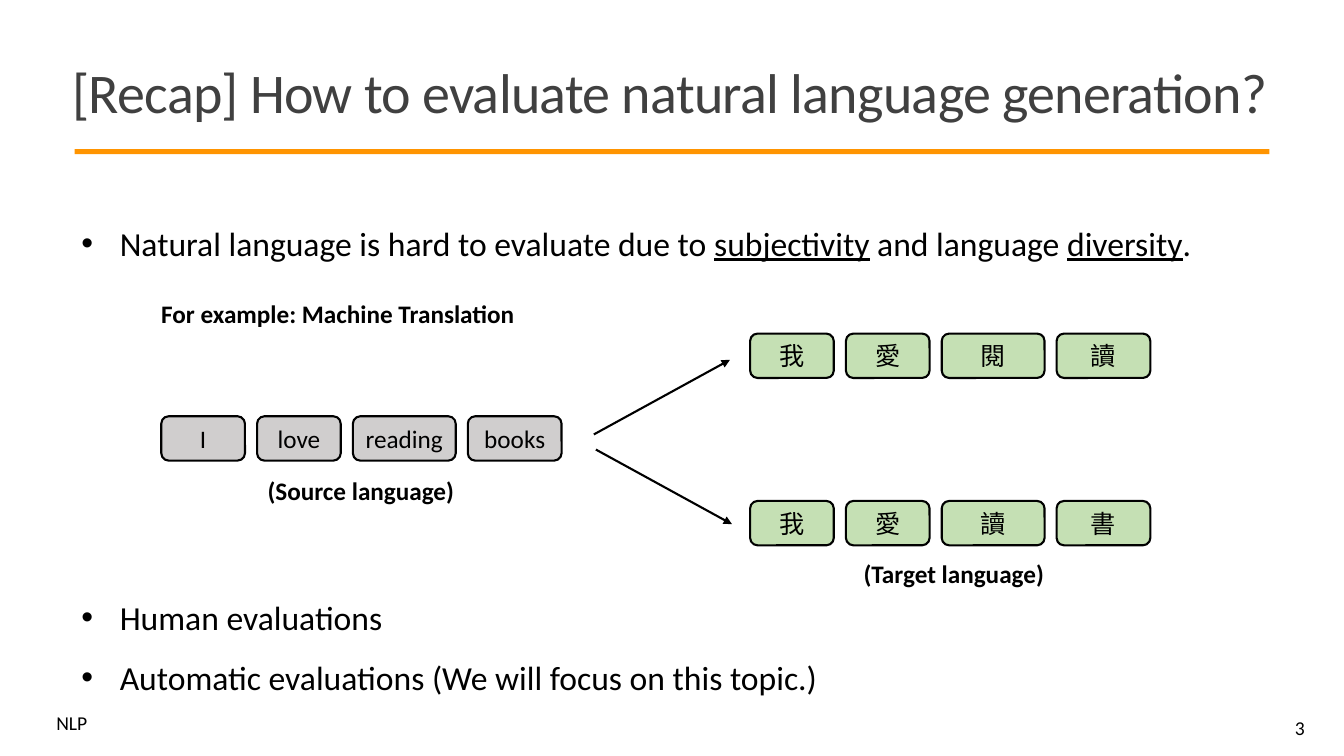
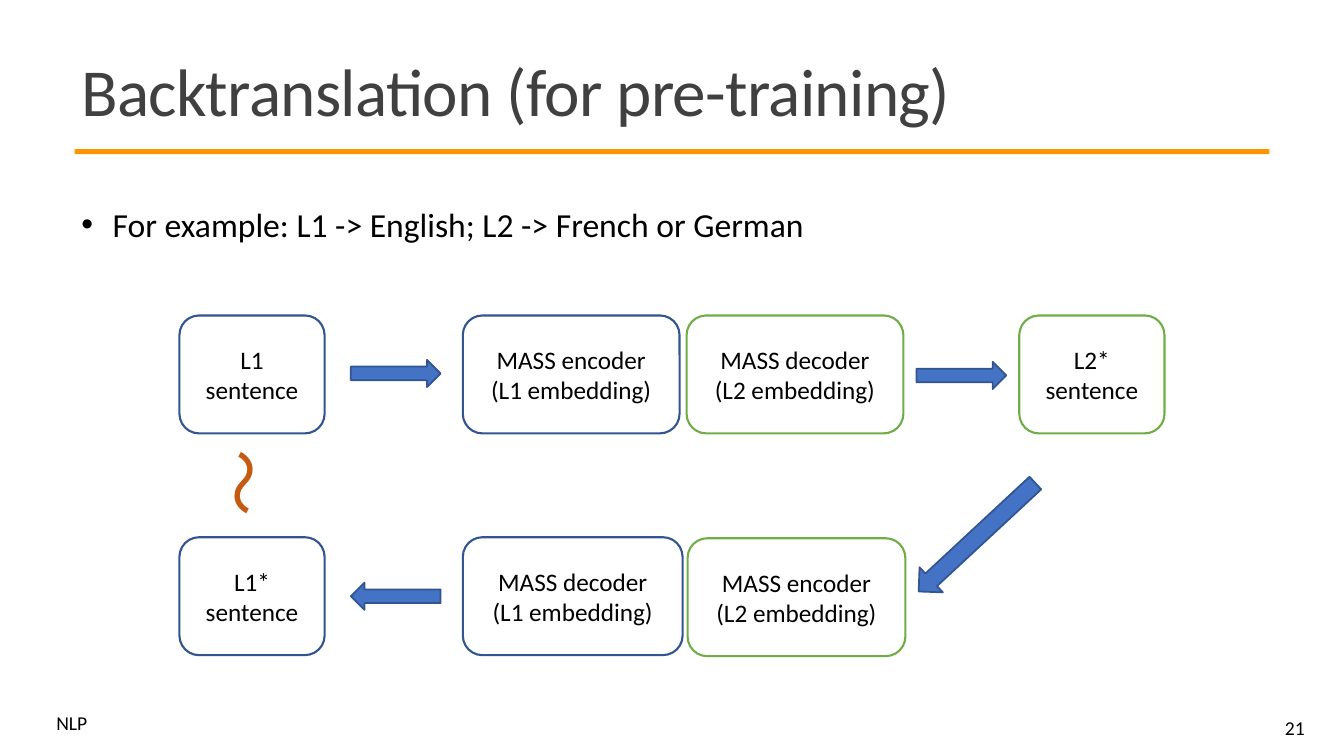
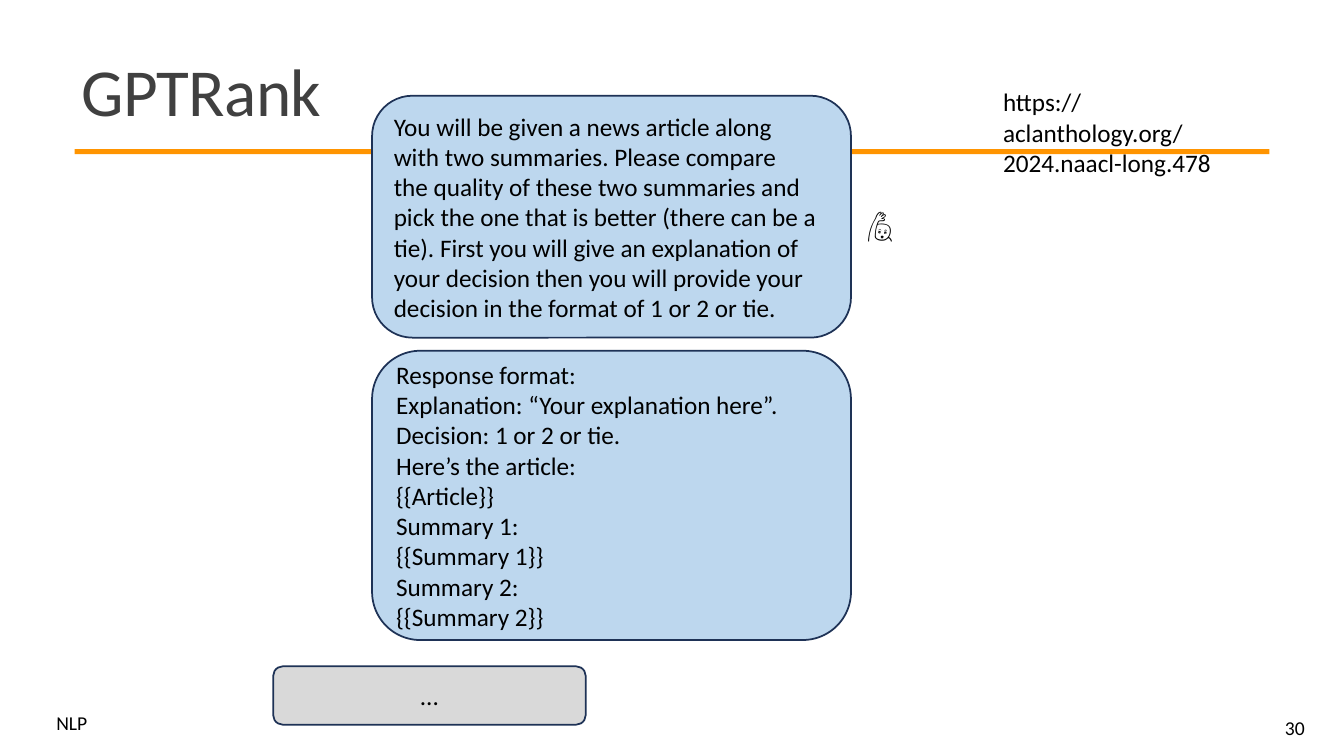
from lxml import etree
from pptx import Presentation
from pptx.dml.color import RGBColor
from pptx.enum.shapes import MSO_CONNECTOR, MSO_SHAPE
from pptx.enum.text import MSO_ANCHOR, PP_ALIGN
from pptx.oxml.ns import qn
from pptx.util import Inches, Pt

ROUND, RECT, ARROW = MSO_SHAPE.ROUNDED_RECTANGLE, MSO_SHAPE.RECTANGLE, MSO_SHAPE.RIGHT_ARROW
STRAIGHT = MSO_CONNECTOR.STRAIGHT
TOP, MID = MSO_ANCHOR.TOP, MSO_ANCHOR.MIDDLE
LEFT, MIDDLE, RIGHT = PP_ALIGN.LEFT, PP_ALIGN.CENTER, PP_ALIGN.RIGHT

FONT, HAN = "Calibri", "Noto Sans CJK TC"
BLACK, INK, ORANGE, RUST = "000000", "404040", "FF9400", "C55A11"
GRAY, LEAF, SKY, SILVER = "D0CECE", "C5E0B4", "BDD7EE", "D9D9D9"
BLUE, NAVY, GREEN, DARK = "4472C4", "325491", "70AD47", "1E3256"

CLAIM = [[("Natural language is hard to evaluate due to ", False),
          ("subjectivity", True), (" and language ", False),
          ("diversity", True), (".", False)]]
KINDS = ["Human evaluations", "Automatic evaluations (We will focus on this topic.)"]
WIDTHS, GAP = [0.83, 0.83, 1.02, 0.93], 0.12
ROWS = [
    (1.6, 4.13, GRAY, FONT, ["I", "love", "reading", "books"]),
    (7.44, 3.31, LEAF, HAN, ["我", "愛", "閱", "讀"]),
    (7.44, 4.97, LEAF, HAN, ["我", "愛", "讀", "書"]),
]
FORKS = [(5.89, 4.31, 7.24, 3.57), (5.91, 4.46, 7.26, 5.2)]
LABELS = [
    ("For example: Machine Translation", 1.5, 2.91, 3.79, LEFT),
    ("(Source language)", 2.51, 4.67, 2.14, MIDDLE),
    ("(Target language)", 8.39, 5.49, 2.14, MIDDLE),
]

PAIR = ["For example: L1 -> English; L2 -> French or German"]
STEPS = [
    (["L1 sentence"], 1.78, 3.13, 1.44, NAVY),
    (["MASS encoder", "(L1 embedding)"], 4.59, 3.13, 2.15, NAVY),
    (["MASS decoder", "(L2 embedding)"], 6.81, 3.13, 2.15, GREEN),
    (["L2* sentence"], 10.11, 3.13, 1.44, GREEN),
    (["MASS encoder", "(L2 embedding)"], 6.82, 5.34, 2.16, GREEN),
    (["MASS decoder", "(L1 embedding)"], 4.59, 5.33, 2.18, NAVY),
    (["L1* sentence"], 1.78, 5.33, 1.44, NAVY),
]
ARROWS = [
    (3.48, 3.57, 0.89, 0.27, 0),
    (9.09, 3.59, 0.89, 0.27, 0),
    (8.9, 5.16, 1.58, 0.34, 137.1),
    (3.48, 5.78, 0.89, 0.27, 180),
]

PROMPT = [
    "You will be given a news article along",
    "with two summaries. Please compare",
    "the quality of these two summaries and",
    "pick the one that is better (there can be a",
    "tie). First you will give an explanation of",
    "your decision then you will provide your",
    "decision in the format of 1 or 2 or tie.",
]
REPLY = [
    "Response format:",
    "Explanation: “Your explanation here”.",
    "Decision: 1 or 2 or tie.",
    "Here’s the article:",
    "{{Article}}",
    "Summary 1:",
    "{{Summary 1}}",
    "Summary 2:",
    "{{Summary 2}}",
]
CARDS = [
    (PROMPT, 3.69, 0.95, 4.75, 2.4, SKY, LEFT),
    (REPLY, 3.69, 3.48, 4.75, 2.87, SKY, LEFT),
    (["..."], 2.71, 6.61, 3.1, 0.58, SILVER, MIDDLE),
]
LINK = "https://aclanthology.org/2024.naacl-long.478"


def rgb(code):
    return RGBColor.from_string(code)


def write(shape, lines, size=18, color=BLACK, align=LEFT, anchor=TOP, face=FONT,
          bold=False, space=None, indent=0, track=0, wrap=True):
    frame = shape.text_frame
    frame.word_wrap = wrap
    frame.vertical_anchor = anchor
    for i, line in enumerate(lines):
        para = frame.add_paragraph() if i else frame.paragraphs[0]
        for text, under in [(line, False)] if isinstance(line, str) else line:
            run = para.add_run()
            run.text = text
            if under:
                run.font.underline = True
        para.alignment = align
        if space:
            para.line_spacing = space
        props = para._p.get_or_add_pPr()
        if indent:
            props.set("marL", str(Inches(indent)))
            props.set("indent", str(-Inches(indent)))
            etree.SubElement(props, qn("a:buFont")).set("typeface", "Arial")
            etree.SubElement(props, qn("a:buChar")).set("char", "•")
        font = para.font
        font.size, font.name, font.bold = Pt(size), face, bold
        font.color.rgb = rgb(color)
        base = props.find(qn("a:defRPr"))
        if face == HAN:
            etree.SubElement(base, qn("a:ea")).set("typeface", face)
        if track:
            base.set("spc", str(track))


def label(slide, lines, x, y, w, h, **style):
    box = slide.shapes.add_textbox(Inches(x), Inches(y), Inches(w), Inches(h))
    write(box, lines, **style)
    return box


def block(slide, kind, x, y, w, h, fill=None, edge=None, width=1.5):
    shape = slide.shapes.add_shape(kind, Inches(x), Inches(y), Inches(w), Inches(h))
    shape.shadow.inherit = False
    if fill:
        shape.fill.solid()
        shape.fill.fore_color.rgb = rgb(fill)
    else:
        shape.fill.background()
    if edge:
        shape.line.color.rgb = rgb(edge)
        shape.line.width = Pt(width)
    else:
        shape.line.fill.background()
    return shape


def bullets(slide, lines, x, y, w, h, indent=0.38):
    label(slide, lines, x, y, w, h, size=24, space=1.5, indent=indent)


def link(slide, *ends):
    line = slide.shapes.add_connector(STRAIGHT, *map(Inches, ends))
    line.line.color.rgb = rgb(BLACK)
    line.line.width = Pt(1.5)
    etree.SubElement(line.line._get_or_add_ln(), qn("a:tailEnd")).set("type", "triangle")
    etree.SubElement(line._element.spPr, qn("a:effectLst"))


def start(deck, title, number, x=0.71, w=11.94, size=48):
    slide = deck.slides.add_slide(deck.slide_layouts[6])
    block(slide, RECT, 0.74, 1.48, 11.85, 0.05, ORANGE)
    label(slide, ["NLP"], 0.46, 7.05, 0.61, 0.29, size=14, space=0.8)
    label(slide, [title], x, 0.39, w, 1.13, size=size, color=INK, anchor=MID,
          space=0.85, track=-50)
    label(slide, [str(number)], 11.61, 7.02, 1.43, 0.4, size=14, align=RIGHT, anchor=MID)
    return slide


def recap(deck):
    slide = start(deck, "[Recap] How to evaluate natural language generation?", 3,
                  0.62, 12.27, 40)
    bullets(slide, CLAIM, 0.71, 1.96, 11.55, 0.64)
    for x, y, fill, face, words in ROWS:
        for word, w in zip(words, WIDTHS):
            token = block(slide, ROUND, x, y, w, 0.44, fill, BLACK)
            write(token, [word], align=MIDDLE, anchor=MID, face=face, wrap=False)
            x += w + GAP
    for ends in FORKS:
        link(slide, *ends)
    for text, x, y, w, align in LABELS:
        label(slide, [text], x, y, w, 0.4, align=align, bold=True)
    bullets(slide, KINDS, 0.71, 5.67, 11.1, 1.25)


def cycle(deck):
    slide = start(deck, "Backtranslation (for pre-training)", 21)
    for lines, x, y, w, edge in STEPS:
        step = block(slide, ROUND, x, y, w, 1.17, edge=edge)
        write(step, lines, align=MIDDLE, anchor=MID)
    for x, y, w, h, turn in ARROWS:
        block(slide, ARROW, x, y, w, h, BLUE, NAVY, 1.25).rotation = turn
    wave = label(slide, ["～"], 1.99, 4.35, 0.88, 0.91, size=48, color=RUST, wrap=False)
    wave.rotation = 90
    bullets(slide, PAIR, 0.71, 1.77, 8.89, 0.64, 0.31)


def rank(deck):
    slide = start(deck, "GPTRank", 30)
    for lines, x, y, w, h, fill, align in CARDS:
        card = block(slide, ROUND, x, y, w, h, fill, DARK, 1.25)
        write(card, lines, align=align, anchor=MID)
    label(slide, ["🙋"], 8.45, 1.97, 0.56, 0.5, size=24, align=MIDDLE)
    label(slide, [LINK], 9.85, 0.81, 2.8, 0.71)


def main():
    deck = Presentation()
    deck.slide_width, deck.slide_height = Inches(13.33), Inches(7.5)
    for build in (recap, cycle, rank):
        build(deck)
    deck.save("out.pptx")


if __name__ == "__main__":
    main()
